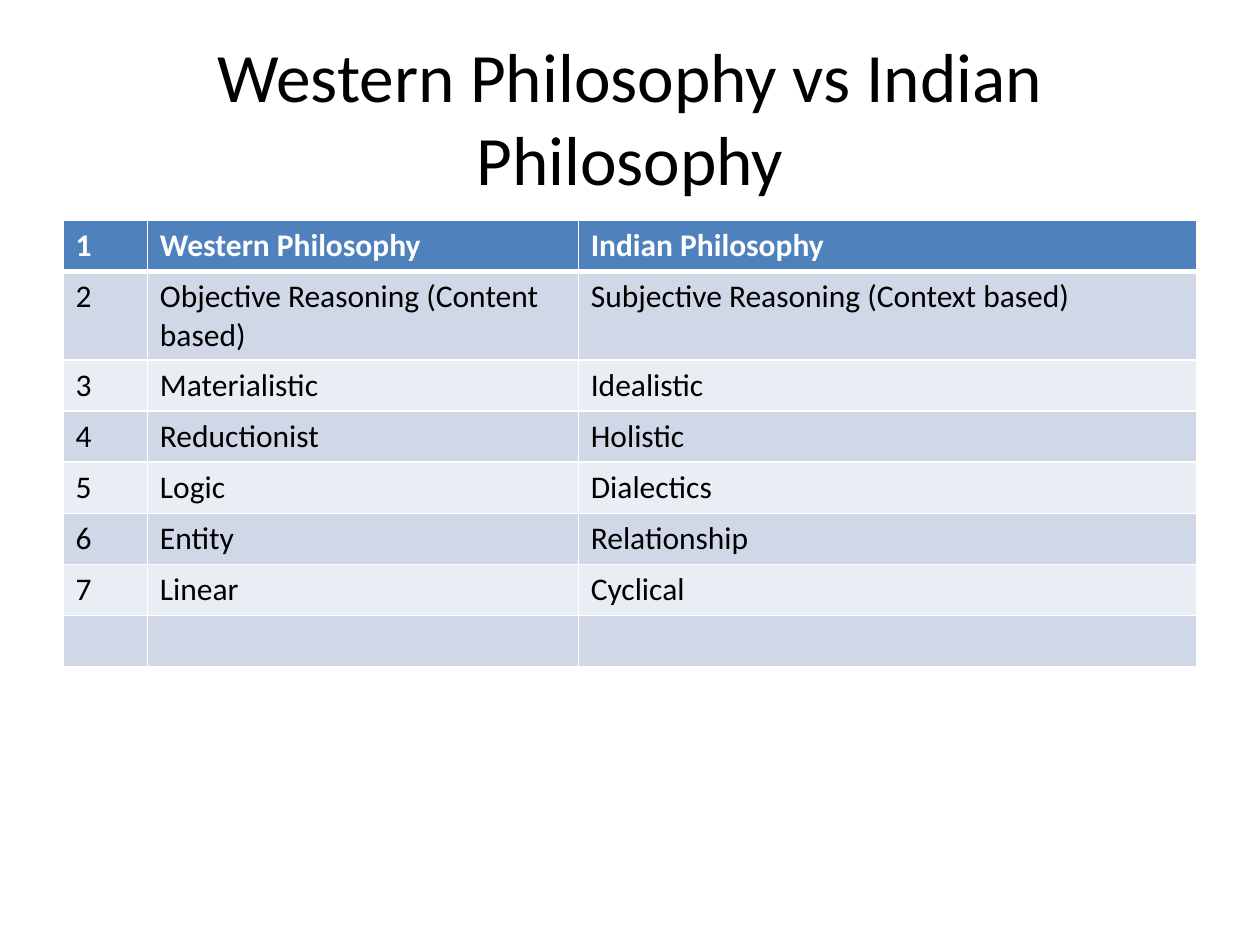
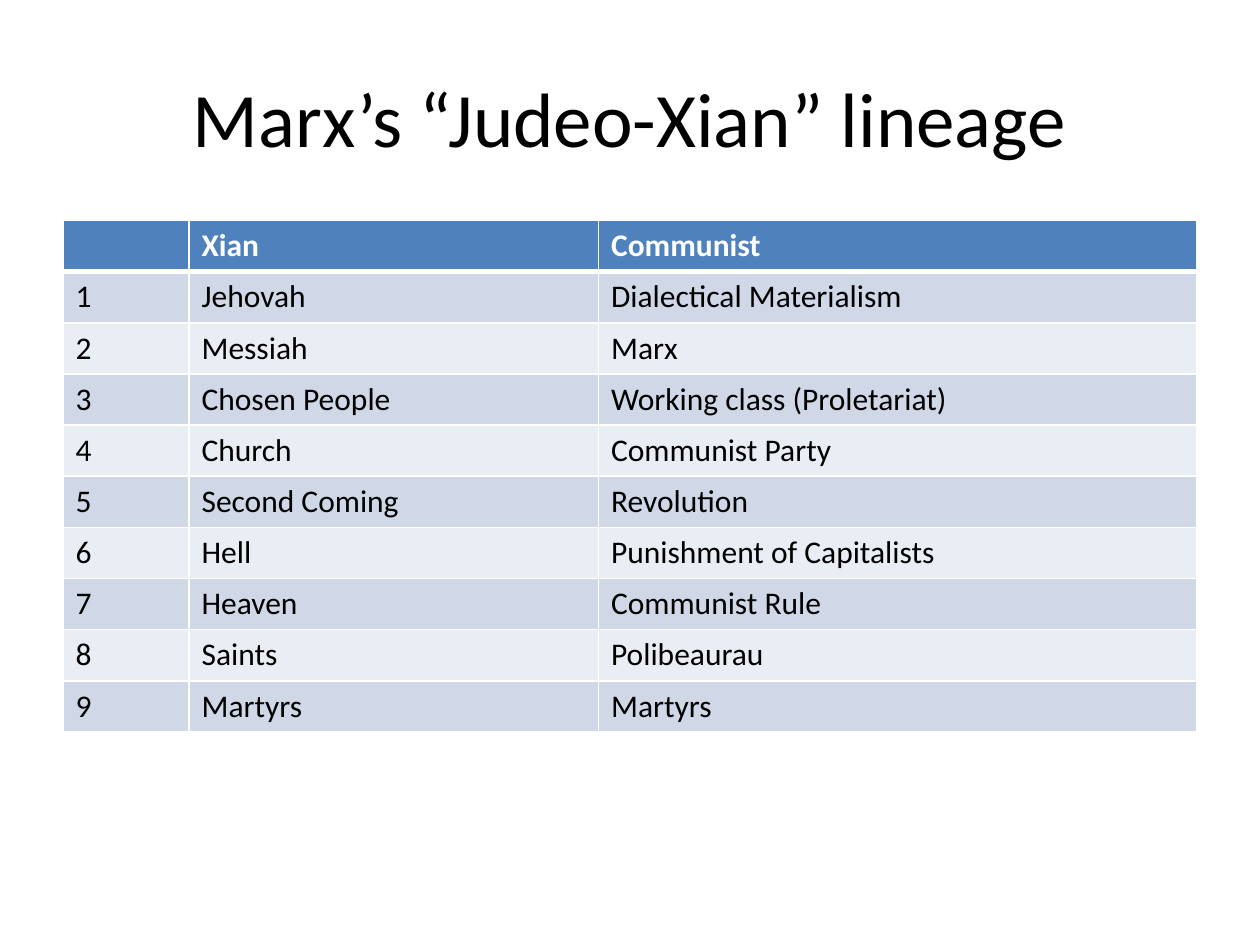
import pptx
import pptx.dml.color
import pptx.enum.text
import pptx.oxml
import pptx.oxml.ns
import pptx.util
from pptx.util import Inches

FONT = "Calibri"
BLACK, WHITE = "000000", "FFFFFF"
HEADER_FILL = "4F81BD"
BAND_FILLS = ["E9EDF4", "D0D8E8"]  # even rows, odd rows
LEFT, WIDTH = 0.5, 9
TEN_ROWS_HEIGHT = 4.06

# Title, title size, column widths, table rows
SLIDES = [
    ("Western Philosophy vs Indian Philosophy", 39.6, [0.67, 3.42, 4.91], [
        ("1", "Western Philosophy", "Indian Philosophy"),
        ("2", "Objective Reasoning (Content based)",
         "Subjective Reasoning (Context based)"),
        ("3", "Materialistic", "Idealistic"),
        ("4", "Reductionist", "Holistic"),
        ("5", "Logic", "Dialectics"),
        ("6", "Entity", "Relationship"),
        ("7", "Linear", "Cyclical"),
        ("", "", ""),
    ]),
    ("Marx’s “Judeo-Xian” lineage", 44, [1, 3.25, 4.75], [
        ("", "Xian", "Communist"),
        ("1", "Jehovah", "Dialectical Materialism"),
        ("2", "Messiah", "Marx"),
        ("3", "Chosen People", "Working class (Proletariat)"),
        ("4", "Church", "Communist Party"),
        ("5", "Second Coming", "Revolution"),
        ("6", "Hell", "Punishment of Capitalists"),
        ("7", "Heaven", "Communist Rule"),
        ("8", "Saints", "Polibeaurau"),
        ("9", "Martyrs", "Martyrs"),
    ]),
]


def set_font(paragraph, size, color, bold=False):
    paragraph.font.name = FONT
    paragraph.font.size = pptx.util.Pt(size)
    paragraph.font.bold = bold
    paragraph.font.color.rgb = pptx.dml.color.RGBColor.from_string(color)


def style_cell(cell, fill, top, bottom):
    # Borders come before the fill in the cell properties
    properties = cell._tc.get_or_add_tcPr()
    for side, points in (("L", 1), ("R", 1), ("T", top), ("B", bottom)):
        properties.append(pptx.oxml.parse_xml(
            f'<a:ln{side} {pptx.oxml.ns.nsdecls("a")} w="{pptx.util.Pt(points)}">'
            f'<a:solidFill><a:srgbClr val="{WHITE}"/></a:solidFill></a:ln{side}>'))
    cell.fill.solid()
    cell.fill.fore_color.rgb = pptx.dml.color.RGBColor.from_string(fill)


deck = pptx.Presentation()
deck.slide_width, deck.slide_height = Inches(10), Inches(7.5)

for title, title_size, column_widths, rows in SLIDES:
    page = deck.slides.add_slide(deck.slide_layouts[6])

    # Title
    box = page.shapes.add_textbox(Inches(LEFT), Inches(0.3), Inches(WIDTH), Inches(1.25))
    frame = box.text_frame
    frame.word_wrap = True
    frame.vertical_anchor = pptx.enum.text.MSO_ANCHOR.MIDDLE
    frame.text = title
    frame.paragraphs[0].alignment = pptx.enum.text.PP_ALIGN.CENTER
    set_font(frame.paragraphs[0], title_size, BLACK)

    # Comparison table
    table = page.shapes.add_table(
        len(rows), len(column_widths), Inches(LEFT), Inches(1.75), Inches(WIDTH),
        Inches(TEN_ROWS_HEIGHT * len(rows) / 10)).table
    for column, width in zip(table.columns, column_widths):
        column.width = Inches(width)
    for row_number, row in enumerate(rows):
        header = row_number == 0
        fill = HEADER_FILL if header else BAND_FILLS[row_number % 2]
        for column_number, text in enumerate(row):
            cell = table.cell(row_number, column_number)
            cell.text = text
            set_font(cell.text_frame.paragraphs[0], 18, WHITE if header else BLACK, header)
            style_cell(cell, fill, 3 if row_number == 1 else 1, 3 if header else 1)

deck.save("out.pptx")
